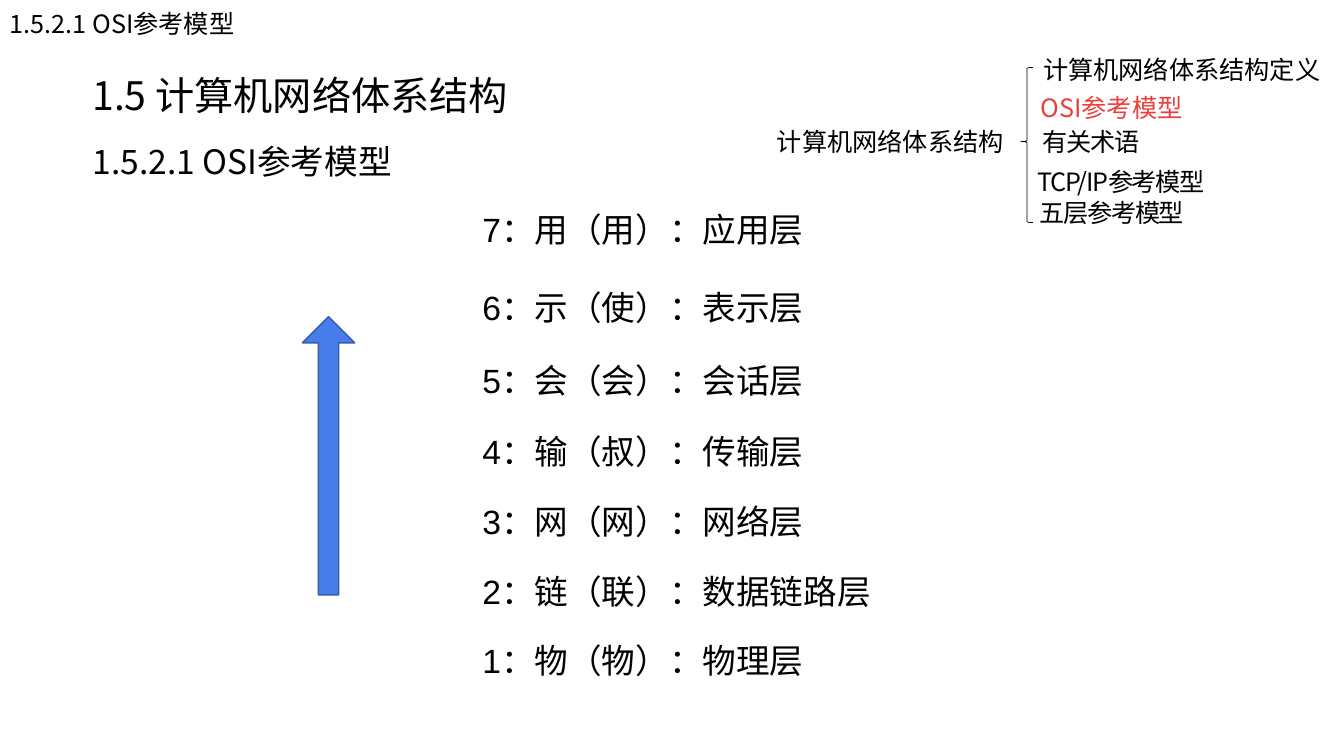
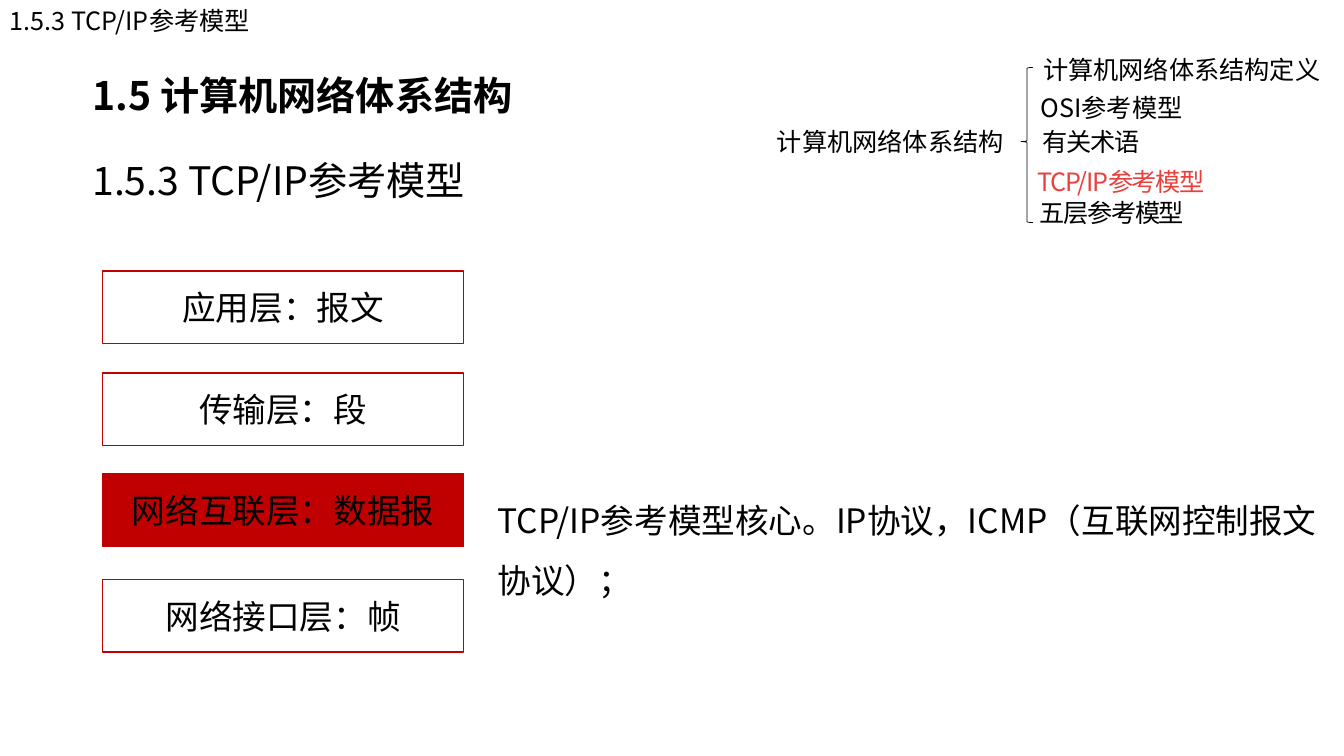
from pptx import Presentation
from pptx.dml.color import RGBColor
from pptx.enum.shapes import MSO_SHAPE
from pptx.enum.text import MSO_ANCHOR, PP_ALIGN
from pptx.oxml.ns import qn
from pptx.util import Cm, Pt
from lxml.etree import SubElement

COLORS = {
    "text": "000000",
    "current": "E9403C",
    "box": "C00000",
    "arrow": "477DEA",
    "arrow_edge": "355CAD",
}
CJK_FONT = "Noto Sans CJK SC"
LATIN_FONT = "Arial"
CHAPTER = "1.5 计算机网络体系结构"
OUTLINE_ROOT = "计算机网络体系结构"
OUTLINE_FIRST = "计算机网络体系结构定义"
# topic, left, top, width in cm, character spacing in points
OUTLINE_TOPICS = [
    ("OSI参考模型", 25.27, 2.39, 5.49, 0),
    ("有关术语", 25.5, 3.25, 3.99, -1),
    ("TCP/IP参考模型", 24.94, 4.27, 6.63, -1),
    ("五层参考模型", 25.22, 5.05, 5.61, -1),
]
OSI_LAYERS = [
    ("7：用（用）：应用层", 5.13),
    ("6：示（使）：表示层", 7.11),
    ("5：会（会）：会话层", 8.94),
    ("4：输（叔）：传输层", 10.74),
    ("3：网（网）：网络层", 12.5),
    ("2：链（联）：数据链路层", 14.27),
    ("1：物（物）：物理层", 16),
]
TCP_IP_LAYERS = [
    ("应用层：报文", 6.83, None),
    ("传输层：段", 9.4, None),
    ("网络互联层：数据报", 11.94, "box"),
    ("网络接口层：帧", 14.6, None),
]


class Deck:
    def __init__(self):
        self.presentation = Presentation()
        self.presentation.slide_width = Cm(33.87)
        self.presentation.slide_height = Cm(19.05)
        self.shapes = None

    def new_slide(self):
        blank = self.presentation.slide_layouts[6]
        self.shapes = self.presentation.slides.add_slide(blank).shapes

    def fill_frame(self, frame, text, size, font=CJK_FONT, color="text",
                   bold=False, align=PP_ALIGN.LEFT, line_spacing=None,
                   spacing=0):
        """Fill a text frame with one styled paragraph."""
        frame.word_wrap = True
        paragraph = frame.paragraphs[0]
        paragraph.text = text
        paragraph.alignment = align
        if line_spacing:
            paragraph.line_spacing = line_spacing
        style = paragraph.font
        style.size = Pt(size)
        style.bold = bold
        style.name = font
        style.color.rgb = RGBColor.from_string(COLORS[color])
        properties = paragraph._p.pPr.find(qn("a:defRPr"))
        SubElement(properties, qn("a:ea")).set("typeface", CJK_FONT)
        if spacing:
            properties.set("spc", str(spacing * 100))

    def text(self, text, left, top, width, height, size, **style):
        frame = self.shapes.add_textbox(
            Cm(left), Cm(top), Cm(width), Cm(height)).text_frame
        self.fill_frame(frame, text, size, **style)
        return frame

    def shape(self, kind, left, top, width, height, line, line_width=1,
              fill=None, adjustments=()):
        shape = self.shapes.add_shape(
            kind, Cm(left), Cm(top), Cm(width), Cm(height))
        shape.shadow.inherit = False
        for index, value in enumerate(adjustments):
            shape.adjustments[index] = value
        if fill:
            shape.fill.solid()
            shape.fill.fore_color.rgb = RGBColor.from_string(COLORS[fill])
        else:
            shape.fill.background()
        shape.line.color.rgb = RGBColor.from_string(COLORS[line])
        shape.line.width = Pt(line_width)
        return shape

    def layer_box(self, text, top, fill):
        box = self.shape(MSO_SHAPE.RECTANGLE, 2.59, top, 9.09, 1.83,
                         "box", fill=fill)
        box.text_frame.vertical_anchor = MSO_ANCHOR.MIDDLE
        self.fill_frame(box.text_frame, text, 24, align=PP_ALIGN.CENTER)

    def titles(self, section, section_top, section_size, chapter_bold):
        chapter = self.text(CHAPTER, 2.03, 1.65, 24.51, 1.5, 28,
                            bold=chapter_bold)
        heading = self.text(section, 2.03, section_top, 30.89, 2.64,
                            section_size, line_spacing=1.5)
        heading.vertical_anchor = MSO_ANCHOR.MIDDLE
        for frame in (chapter, heading):
            frame.margin_left = frame.margin_right = Cm(0.3)
            frame.margin_top = frame.margin_bottom = Cm(0.15)

    def running_head(self, section, top, line_spacing=None):
        self.text(section, 0, top, 6.86, 1.02, 18, line_spacing=line_spacing)

    def outline(self, current):
        """Draw the braced chapter outline with the current topic in red."""
        slide_shapes = self.shapes
        self.shapes = slide_shapes.add_group_shape().shapes
        self.shape(MSO_SHAPE.LEFT_BRACE, 25.73, 1.7, 0.3, 3.91, "text", 0.5,
                   adjustments=(0.083, 0.478))
        self.text(OUTLINE_ROOT, 19.33, 3.05, 8.59, 1.02, 18)
        self.text(OUTLINE_FIRST, 26.04, 1.24, 7.59, 1.02, 18, font=LATIN_FONT)
        for topic, left, top, width, spacing in OUTLINE_TOPICS:
            self.text(topic, left, top, width, 0.81, 18,
                      color="current" if topic == current else "text",
                      align=PP_ALIGN.CENTER, line_spacing=Pt(16),
                      spacing=spacing)
        self.shapes = slide_shapes


def osi_slide(deck):
    section = "1.5.2.1 OSI参考模型"
    deck.new_slide()
    deck.titles(section, 2.49, 24, chapter_bold=False)
    for layer, top in OSI_LAYERS:
        deck.text(layer, 11.91, top, 11.9, 1.27, 24, font=LATIN_FONT)
    deck.shape(MSO_SHAPE.UP_ARROW, 7.62, 7.98, 1.32, 7.01, "arrow_edge",
               fill="arrow", adjustments=(0.386, 0.5))
    deck.outline("OSI参考模型")
    deck.running_head(section, -0.3, line_spacing=1.5)


def tcp_ip_slide(deck):
    section = "1.5.3 TCP/IP参考模型"
    deck.new_slide()
    deck.titles(section, 2.92, 28, chapter_bold=True)
    for layer, top, fill in TCP_IP_LAYERS:
        deck.layer_box(layer, top, fill)
    deck.text("TCP/IP参考模型核心。IP协议，ICMP（互联网控制报文协议）；",
              12.29, 11.96, 21.21, 3.15, 24, line_spacing=1.5)
    deck.outline("TCP/IP参考模型")
    deck.running_head(section, 0)


def main():
    deck = Deck()
    osi_slide(deck)
    tcp_ip_slide(deck)
    deck.presentation.save("out.pptx")


if __name__ == "__main__":
    main()
